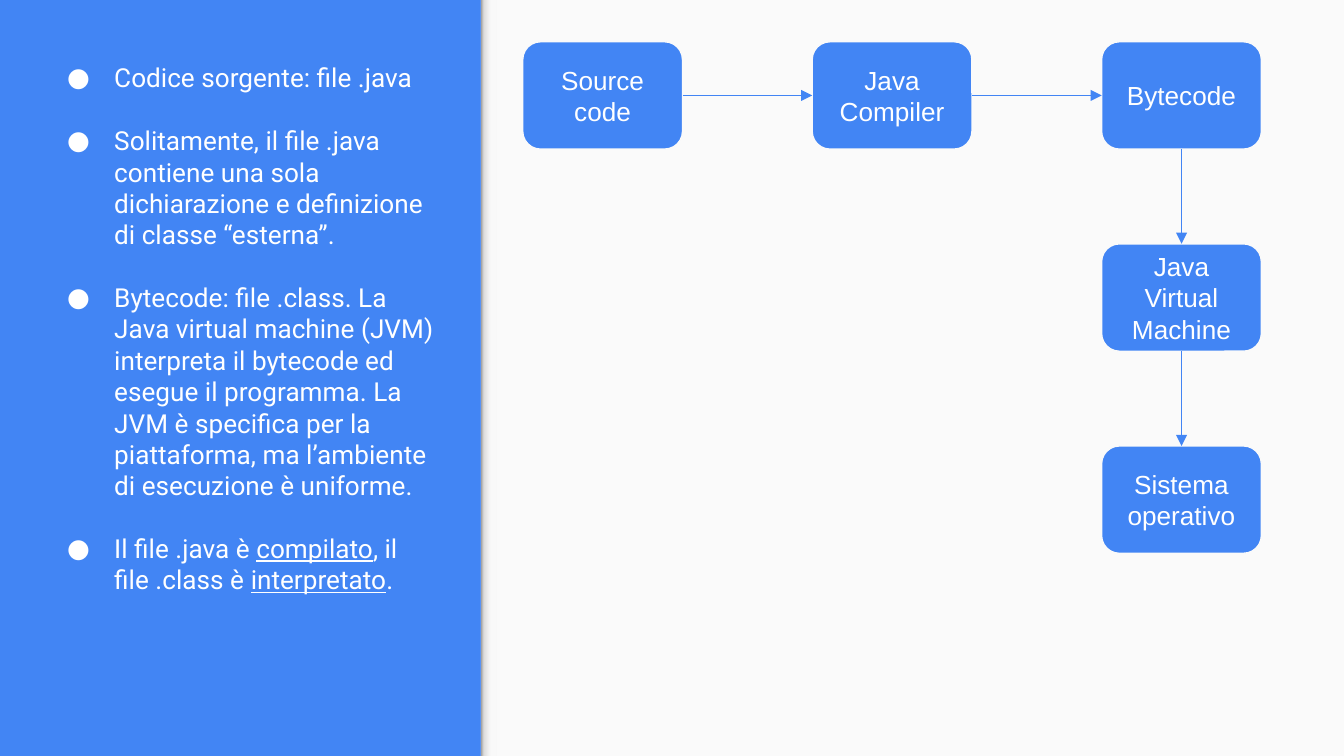
from dataclasses import dataclass

from lxml.etree import SubElement
from pptx import Presentation
from pptx.dml.color import RGBColor
from pptx.enum.shapes import MSO_CONNECTOR, MSO_SHAPE
from pptx.enum.text import MSO_ANCHOR, PP_ALIGN
from pptx.oxml.ns import qn
from pptx.util import Cm, Pt

BLUE, PALE, WHITE = "4285F4", "FAFAFA", "FFFFFF"
WIDE, HIGH = 25.4, 14.29
EDGE = 9.09  # where the blue side meets the pale panel
LEFT, TOP = 9.88, 0.79  # first box of the flow
STEP_X, STEP_Y = 5.47, 3.82
BOX_W, BOX_H = 3.02, 2.03
INSET = 0.25
UP, WEST, DOWN, EAST = range(4)  # connection sites of a box


@dataclass
class Node:
    text: str
    col: int
    row: int


@dataclass
class Link:
    start: int
    out: int
    end: int
    into: int


@dataclass
class Part:
    text: str
    under: bool = False


NODES = [
    Node("Source code", 0, 0),
    Node("Java Compiler", 1, 0),
    Node("Bytecode", 2, 0),
    Node("Java Virtual Machine", 2, 1),
    Node("Sistema operativo", 2, 2),
]
LINKS = [
    Link(0, EAST, 1, WEST),
    Link(1, EAST, 2, WEST),
    Link(2, DOWN, 3, UP),
    Link(3, DOWN, 4, UP),
]
POINTS = [
    [Part("Codice sorgente: file .java")],
    [Part("Solitamente, il file .java contiene una sola dichiarazione "
          "e definizione di classe “esterna”.")],
    [Part("Bytecode: file .class. La Java virtual machine (JVM) interpreta "
          "il bytecode ed esegue il programma. La JVM è specifica per la "
          "piattaforma, ma l’ambiente di esecuzione è uniforme.")],
    [Part("Il file .java è "), Part("compilato", True),
     Part(", il file .class è "), Part("interpretato", True), Part(".")],
]


def paint(color, tone: str) -> None:
    color.rgb = RGBColor.from_string(tone)


def fill(target, tone: str) -> None:
    target.solid()
    paint(target.fore_color, tone)


def add_run(para, part: Part, font: str) -> None:
    run = para.add_run()
    run.text = part.text
    run.font.name = font
    run.font.size = Pt(14)
    paint(run.font.color, WHITE)
    if part.under:
        run.font.underline = True


def set_frame(frame, anchor, base: float = INSET) -> None:
    frame.word_wrap = True
    frame.vertical_anchor = anchor
    frame.margin_left = frame.margin_right = frame.margin_top = Cm(INSET)
    frame.margin_bottom = Cm(base)


def add_bar(slide, left: float, width: float):
    bar = slide.shapes.add_shape(
        MSO_SHAPE.RECTANGLE, Cm(left), 0, Cm(width), Cm(HIGH))
    bar.shadow.inherit = False
    bar.line.fill.background()
    return bar


def add_shade(slide) -> None:
    bar = add_bar(slide, EDGE, 0.3)
    bar.fill.gradient()
    bar.fill.gradient_angle = 0
    stops = bar.fill._fill._gradFill.find(qn("a:gsLst"))
    for stop in list(stops):
        stops.remove(stop)
    for pos, tone in [(0, "999999"), (20, "DEDEDE"),
                      (64, "F9F9F9"), (100, "F9F9F9")]:
        stop = SubElement(stops, qn("a:gs"), pos=str(pos * 1000))
        SubElement(stop, qn("a:srgbClr"), val=tone)


def add_bullet(para) -> None:
    props = para._p.get_or_add_pPr()
    props.set("marL", str(Cm(1.27)))
    props.set("indent", str(-Cm(0.89)))
    color = SubElement(props, qn("a:buClr"))
    SubElement(color, qn("a:srgbClr"), val=WHITE)
    SubElement(props, qn("a:buFont"), typeface="Roboto")
    SubElement(props, qn("a:buChar"), char="●")


def add_list(slide, points: list[list[Part]]) -> None:
    box = slide.shapes.add_textbox(Cm(0.64), Cm(0.99), Cm(8.05), Cm(11.1))
    frame = box.text_frame
    set_frame(frame, MSO_ANCHOR.BOTTOM, 0.84)
    for num, parts in enumerate(points):
        para = frame.add_paragraph() if num else frame.paragraphs[0]
        if num:
            para.space_before = Pt(16.8)
        add_bullet(para)
        for part in parts:
            add_run(para, part, "Roboto")


def add_node(slide, node: Node):
    box = slide.shapes.add_shape(
        MSO_SHAPE.ROUNDED_RECTANGLE,
        Cm(LEFT + node.col * STEP_X), Cm(TOP + node.row * STEP_Y),
        Cm(BOX_W), Cm(BOX_H))
    box.shadow.inherit = False
    fill(box.fill, BLUE)
    paint(box.line.color, PALE)
    box.line.width = Pt(0.75)
    set_frame(box.text_frame, MSO_ANCHOR.MIDDLE)
    para = box.text_frame.paragraphs[0]
    para.alignment = PP_ALIGN.CENTER
    add_run(para, Part(node.text), "Arial")
    return box


def add_link(slide, boxes: list, link: Link) -> None:
    line = slide.shapes.add_connector(MSO_CONNECTOR.STRAIGHT, 0, 0, 0, 0)
    line.begin_connect(boxes[link.start], link.out)
    line.end_connect(boxes[link.end], link.into)
    paint(line.line.color, BLUE)
    line.line.width = Pt(0.75)
    SubElement(line.line._get_or_add_ln(), qn("a:tailEnd"), type="triangle")
    SubElement(line._element.spPr, qn("a:effectLst"))


def main() -> None:
    deck = Presentation()
    deck.slide_width, deck.slide_height = Cm(WIDE), Cm(HIGH)
    slide = deck.slides.add_slide(deck.slide_layouts[6])

    # Blue side, pale panel and the shade along its edge
    fill(slide.background.fill, BLUE)
    fill(add_bar(slide, EDGE, WIDE - EDGE).fill, PALE)
    add_shade(slide)

    # Notes on the left
    add_list(slide, POINTS)

    # Flow on the right
    boxes = [add_node(slide, node) for node in NODES]
    for link in LINKS:
        add_link(slide, boxes, link)

    deck.save("out.pptx")


if __name__ == "__main__":
    main()
